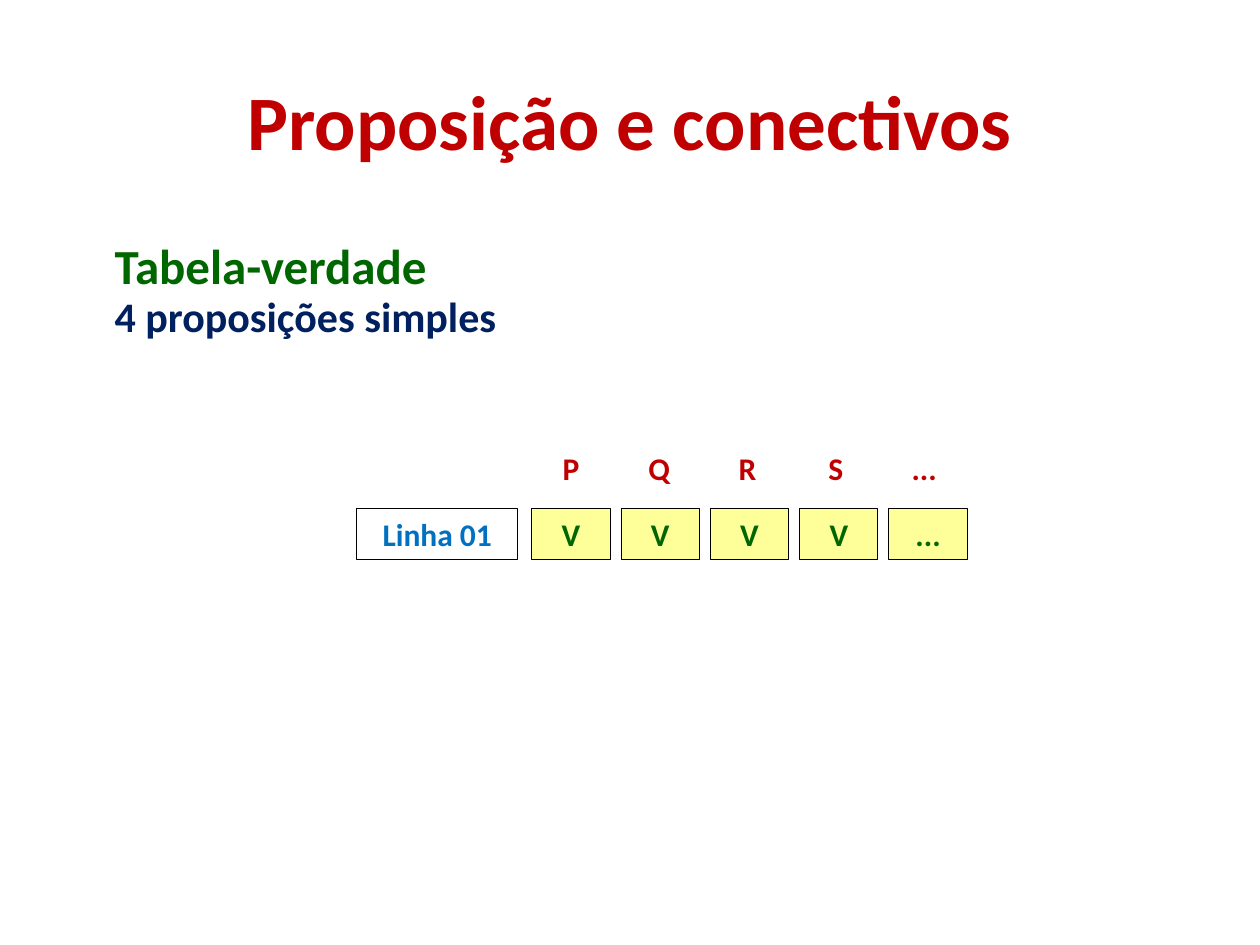
from pptx import Presentation
from pptx.dml.color import RGBColor
from pptx.enum.shapes import MSO_SHAPE
from pptx.enum.text import MSO_ANCHOR, PP_ALIGN
from pptx.util import Cm, Pt

RECTANGLE = MSO_SHAPE.RECTANGLE
TOP = MSO_ANCHOR.TOP
LEFT, CENTER, JUSTIFY = PP_ALIGN.LEFT, PP_ALIGN.CENTER, PP_ALIGN.JUSTIFY

RED = RGBColor(0xC0, 0x00, 0x00)
GREEN = RGBColor(0x00, 0x66, 0x00)
NAVY = RGBColor(0x00, 0x20, 0x60)
BLUE = RGBColor(0x00, 0x70, 0xC0)
YELLOW = RGBColor(0xFF, 0xFF, 0x99)
BLACK = RGBColor(0x00, 0x00, 0x00)

COLUMNS = [("P", "V"), ("Q", "V"), ("R", "V"), ("S", "V"), ("...", "...")]


def write_text(shape, text, size, color, alignment=CENTER):
    """Write one bold paragraph into a shape."""
    frame = shape.text_frame
    for name, value in {"word_wrap": True, "vertical_anchor": TOP}.items():
        setattr(frame, name, value)
    paragraph = frame.paragraphs[0]
    paragraph.alignment = alignment
    run = paragraph.add_run()
    run.text = text
    for name, value in {"name": "Calibri", "size": Pt(size), "bold": True}.items():
        setattr(run.font, name, value)
    run.font.color.rgb = color


def add_label(slide, box, text, size, color, alignment=CENTER):
    """Add a text box in a box given in centimetres."""
    shape = slide.shapes.add_textbox(*map(Cm, box))
    write_text(shape, text, size, color, alignment)


def add_cell(slide, box, text, color, fill=None):
    """Add an outlined cell in a box given in centimetres."""
    shape = slide.shapes.add_shape(RECTANGLE, *map(Cm, box))
    shape.shadow.inherit = False
    if fill is None:
        shape.fill.background()
    else:
        shape.fill.solid()
        shape.fill.fore_color.rgb = fill
    shape.line.color.rgb = BLACK
    shape.line.width = Pt(0.5)
    write_text(shape, text, 18, color)


def add_headings(slide, left, top, width):
    """Add the section heading and its subheading."""
    add_label(slide, (left, top, width, 1.55), "Tabela-verdade", 28, GREEN, JUSTIFY)
    add_label(slide, (left, top + 1.12, 8.66, 1.45), "4 proposições simples", 24, NAVY, LEFT)


def add_truth_row(slide, left, top):
    """Add the row label, then each column's letter and value."""
    height, cell_width, letter_width = 1.02, 1.58, 1.4
    cell_top = top + 1.33
    add_cell(slide, (left, cell_top, 3.25, height), "Linha 01", BLUE)
    for index, (letter, value) in enumerate(COLUMNS):
        cell_left = left + 3.53 + index * 1.8
        letter_left = left + 3.62 + index * 1.78
        add_cell(slide, (cell_left, cell_top, cell_width, height), value, GREEN, YELLOW)
        add_label(slide, (letter_left, top, letter_width, height), letter, 18, RED)


def main():
    """Build and save the presentation."""
    presentation = Presentation()
    presentation.slide_width = Cm(25.4)
    presentation.slide_height = Cm(19.05)
    slide = presentation.slides.add_slide(presentation.slide_layouts[6])
    add_label(slide, (1.27, 1.35, 22.86, 2.57), "Proposição e conectivos", 44, RED)
    add_headings(slide, 2.06, 4.62, 13.23)
    add_truth_row(slide, 7.19, 8.93)
    presentation.save("out.pptx")


if __name__ == "__main__":
    main()
